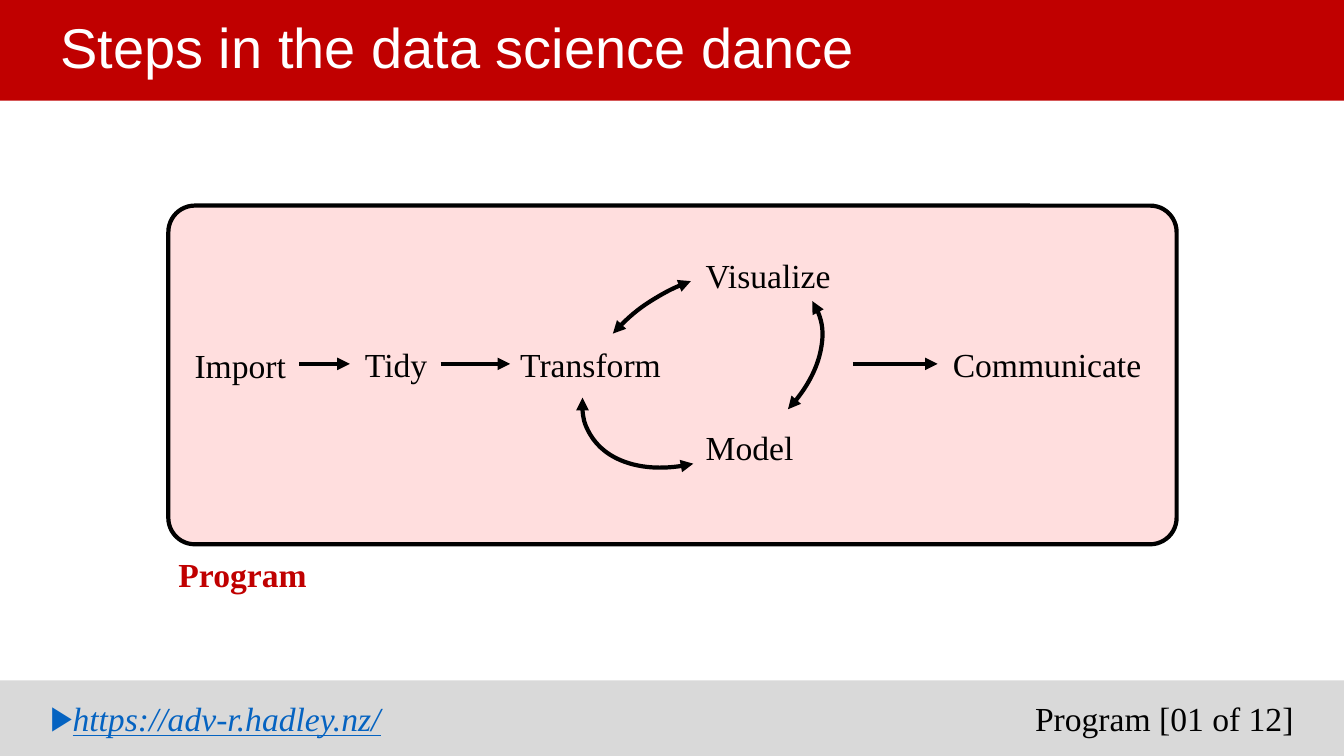
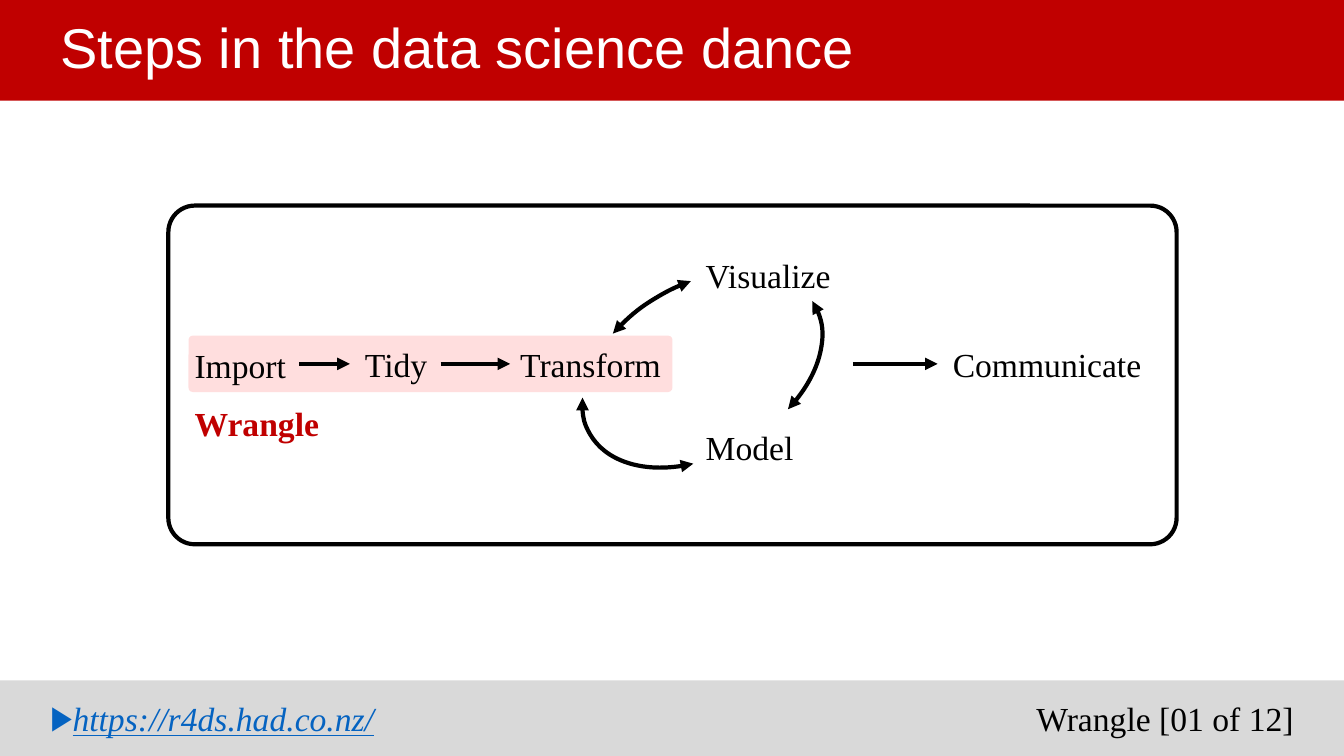
from lxml.etree import SubElement
from pptx import Presentation
from pptx.dml.color import RGBColor
from pptx.enum.shapes import MSO_CONNECTOR, MSO_SHAPE
from pptx.enum.text import MSO_ANCHOR, MSO_AUTO_SIZE, PP_ALIGN
from pptx.oxml.ns import qn
from pptx.util import Inches, Pt

RED = RGBColor(0xC0, 0x00, 0x00)
PINK = RGBColor(0xFF, 0xBF, 0xBF)
GREY = RGBColor(0xD9, 0xD9, 0xD9)
BLUE = RGBColor(0x05, 0x63, 0xC1)
BLACK = RGBColor(0x00, 0x00, 0x00)
WHITE = RGBColor(0xFF, 0xFF, 0xFF)

WIDTH, HEIGHT = 13.33, 7.5
TITLE_BAND = (0, 0, WIDTH, 1)
FOOTER_BAND = (0, 6.75, WIDTH, 0.75)
TITLE_AREA = (0.5, 0, 11.33, 1)
SOURCE_AREA = (0.5, 6.75, 8.75, 0.75)
COUNTER_AREA = (9.5, 6.75, 3.33, 0.75)

BODY_FONT = {"name": "Times New Roman", "size": Pt(24), "color": BLACK}
TITLE_FONT = {"name": "Arial", "size": Pt(40), "color": WHITE}
SOURCE_FONT = BODY_FONT | {"color": BLUE, "italic": True, "underline": True}
STAGE_FONT = BODY_FONT | {"color": RED, "bold": True}

TITLE = "Steps in the data science dance"
FRAME = (1.67, 2.04, 10, 3.36)
CORNER = 0.078
LABEL_HEIGHT = 0.4
STEPS = [  # text, left, top, width
    ("Import", 1.93, 3.42, 1.45),
    ("Tidy", 3.62, 3.41, 0.91),
    ("Transform", 5.16, 3.41, 1.8),
    ("Visualize", 7, 2.53, 1.56),
    ("Model", 7, 4.24, 1.8),
    ("Communicate", 9.45, 3.41, 2.3),
]
ARROW_Y = 3.61
ARROWS = [(2.97, 3.47), (4.37, 5.06), (8.46, 9.3)]  # start and end x
CYCLE = (5.68, 2.82, 2.57, 1.69)
CYCLE_ROTATION = 150
CYCLE_ARCS = [(51.84, 112.65), (178.14, 234.94), (305.43, 16.73)]  # degrees

SLIDES = [
    {"stage": "Program", "source": "https://adv-r.hadley.nz/",
     "highlight": FRAME, "label": (1.77, 5.5, 1.45, LABEL_HEIGHT)},
    {"stage": "Wrangle", "source": "https://r4ds.had.co.nz/",
     "highlight": (1.87, 3.33, 4.8, 0.56), "label": (1.93, 4, 1.45, LABEL_HEIGHT)},
]


def inches(values):
    return [Inches(value) for value in values]


def add_text(page, text, area, font, margin=0, align=PP_ALIGN.LEFT, grow=False):
    box = page.shapes.add_textbox(*inches(area))
    frame = box.text_frame
    frame.word_wrap = True
    frame.vertical_anchor = MSO_ANCHOR.MIDDLE
    frame.auto_size = MSO_AUTO_SIZE.SHAPE_TO_FIT_TEXT if grow else MSO_AUTO_SIZE.NONE
    for side in ("left", "top", "right", "bottom"):
        setattr(frame, f"margin_{side}", Inches(margin))
    para = frame.paragraphs[0]
    para.alignment = align
    span = para.add_run()
    span.text = text
    for key, value in font.items():
        if key == "color":
            span.font.color.rgb = value
        else:
            setattr(span.font, key, value)
    return para


def add_area(page, area, fill=None, kind=MSO_SHAPE.RECTANGLE):
    """Add a shape without outline or shadow; no fill means see-through."""
    shape = page.shapes.add_shape(kind, *inches(area))
    shape.shadow.inherit = False
    shape.line.fill.background()
    if fill is None:
        shape.fill.background()
    else:
        shape.fill.solid()
        shape.fill.fore_color.rgb = fill
    return shape


def add_rounded(page, area, fill=None):
    shape = add_area(page, area, fill, MSO_SHAPE.ROUNDED_RECTANGLE)
    shape.adjustments[0] = CORNER
    return shape


def draw_line(line, *ends):
    """Make a line black and 3 points wide, with triangles at the named ends."""
    line.color.rgb = BLACK
    line.width = Pt(3)
    for end in ends:
        SubElement(line._get_or_add_ln(), qn(f"a:{end}"), type="triangle")


def add_bullet(para, symbol):
    properties = para._p.get_or_add_pPr()
    properties.set("marL", "0")
    properties.set("indent", str(-Inches(0.5)))
    SubElement(properties, qn("a:buFont"), typeface="Arial")
    SubElement(properties, qn("a:buChar"), char=symbol)


def add_bands(page, stage, source):
    add_area(page, FOOTER_BAND, GREY)
    add_area(page, TITLE_BAND, RED)
    add_text(page, TITLE, TITLE_AREA, TITLE_FONT, margin=0.1).line_spacing = 0.9
    add_bullet(add_text(page, source, SOURCE_AREA, SOURCE_FONT), "▶")
    add_text(page, f"{stage} [01 of 12]", COUNTER_AREA, BODY_FONT, align=PP_ALIGN.RIGHT)


def add_highlight(page, area):
    shape = add_rounded(page, area, PINK)
    color = shape._element.spPr.find(f"{qn('a:solidFill')}/{qn('a:srgbClr')}")
    SubElement(color, qn("a:alpha"), val="50000")


def add_workflow(page):
    draw_line(add_rounded(page, FRAME).line)
    for text, left, top, width in STEPS:
        add_text(page, text, (left, top, width, LABEL_HEIGHT), BODY_FONT, grow=True)
    for start, end in ARROWS:
        arrow = page.shapes.add_connector(
            MSO_CONNECTOR.STRAIGHT, *inches((start, ARROW_Y, end, ARROW_Y)))
        draw_line(arrow.line, "tailEnd")
        SubElement(arrow._element.spPr, qn("a:effectLst"))
    for angles in CYCLE_ARCS:
        arc = add_area(page, CYCLE, kind=MSO_SHAPE.ARC)
        arc.rotation = CYCLE_ROTATION
        for index, angle in enumerate(angles):
            arc.adjustments[index] = angle * 0.6  # 60000 units a degree, scaled by 100000
        draw_line(arc.line, "headEnd", "tailEnd")


def main():
    deck = Presentation()
    deck.slide_width, deck.slide_height = inches((WIDTH, HEIGHT))
    for content in SLIDES:
        page = deck.slides.add_slide(deck.slide_layouts[6])
        add_bands(page, content["stage"], content["source"])
        add_highlight(page, content["highlight"])
        add_workflow(page)
        add_text(page, content["stage"], content["label"], STAGE_FONT, grow=True)
    deck.save("out.pptx")


if __name__ == "__main__":
    main()
